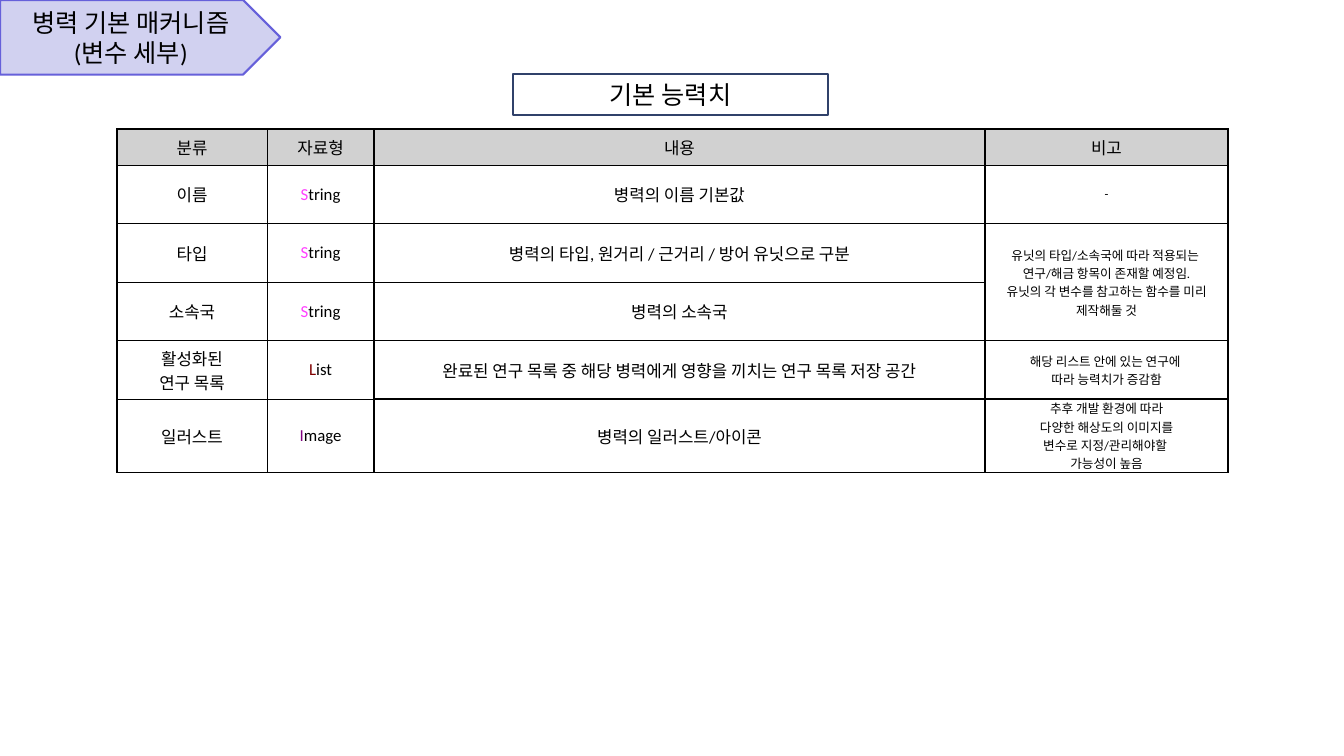
"""Build the slide listing the basic unit variables."""
import pptx
import pptx.util
import pptx.dml.color
import pptx.enum.shapes
import pptx.enum.text
import pptx.oxml
import pptx.oxml.ns

Inches = pptx.util.Inches
Pt = pptx.util.Pt
RGBColor = pptx.dml.color.RGBColor
ALIGN = pptx.enum.text.PP_ALIGN
MIDDLE = pptx.enum.text.MSO_ANCHOR.MIDDLE

BLACK = RGBColor(0x00, 0x00, 0x00)
WHITE = RGBColor(0xFF, 0xFF, 0xFF)
GREY = RGBColor(0xD1, 0xD1, 0xD1)
LILAC = RGBColor(0xD1, 0xD1, 0xF0)
VIOLET = RGBColor(0x66, 0x60, 0xDA)
NAVY = RGBColor(0x30, 0x41, 0x6A)
PINK = RGBColor(0xFF, 0x40, 0xFF)
MAROON = RGBColor(0x80, 0x00, 0x00)
PURPLE = RGBColor(0x80, 0x00, 0x80)


def write(frame, text, size, accent=None):
    frame.text = text
    frame.word_wrap = True
    frame.vertical_anchor = MIDDLE
    for para in frame.paragraphs:
        para.alignment = ALIGN.CENTER
        if accent:
            para.text = text[0]
            para.add_run().text = text[1:]
        for run in para.runs:
            run.font.name = "Calibri"
            run.font.size = Pt(size)
            run.font.color.rgb = BLACK
    if accent:
        frame.paragraphs[0].runs[0].font.color.rgb = accent


def border(cell, side, width):
    cell._tc.get_or_add_tcPr().append(pptx.oxml.parse_xml(
        f'<a:ln{side} {pptx.oxml.ns.nsdecls("a")} w="{Pt(width)}">'
        f'<a:solidFill><a:srgbClr val="{BLACK}"/></a:solidFill></a:ln{side}>'))


deck = pptx.Presentation()
deck.slide_width = Inches(13.33)
deck.slide_height = Inches(7.5)
slide = deck.slides.add_slide(deck.slide_layouts[5])

banner = slide.shapes.add_shape(
    pptx.enum.shapes.MSO_SHAPE.PENTAGON, 0, 0, Inches(2.78), Inches(0.74))
banner.shadow.inherit = False
banner.fill.solid()
banner.fill.fore_color.rgb = LILAC
banner.line.color.rgb = VIOLET
banner.line.width = Pt(1.5)
write(banner.text_frame, "병력 기본 매커니즘\n(변수 세부)", 18)

title = slide.shapes.title
title.left, title.top = Inches(5.09), Inches(0.73)
title.width, title.height = Inches(3.12), Inches(0.41)
title.line.color.rgb = NAVY
title.line.width = Pt(1.5)
frame = title.text_frame
frame.auto_size = pptx.enum.text.MSO_AUTO_SIZE.NONE
frame.margin_left = frame.margin_right = frame.margin_top = frame.margin_bottom = 0
write(frame, "기본 능력치", 18)

rows = [
    ("분류", "자료형", "내용", "비고"),
    ("이름", "String", "병력의 이름 기본값", "-"),
    ("타입", "String", "병력의 타입, 원거리 / 근거리 / 방어 유닛으로 구분",
     "유닛의 타입/소속국에 따라 적용되는 \n연구/해금 항목이 존재할 예정임.\n"
     "유닛의 각 변수를 참고하는 함수를 미리\n제작해둘 것"),
    ("소속국", "String", "병력의 소속국", ""),
    ("활성화된\n연구 목록", "List",
     "완료된 연구 목록 중 해당 병력에게 영향을 끼치는 연구 목록 저장 공간",
     "해당 리스트 안에 있는 연구에 \n따라 능력치가 증감함"),
    ("일러스트", "Image", "병력의 일러스트/아이콘",
     "추후 개발 환경에 따라\n다양한 해상도의 이미지를\n"
     "변수로 지정/관리해야할 \n가능성이 높음"),
]
accents = {"String": PINK, "List": MAROON, "Image": PURPLE}
widths = [1.49, 1.06, 6.06, 2.41]
heights = [0.36, 0.58, 0.58, 0.58, 0.58, 0.71]

table = slide.shapes.add_table(
    len(rows), len(widths), Inches(1.16), Inches(1.28),
    Inches(sum(widths)), Inches(sum(heights))).table
table.first_row = False
table.horz_banding = False
for col, width in zip(table.columns, widths):
    col.width = Inches(width)
for row, height in zip(table.rows, heights):
    row.height = Inches(height)

for r, texts in enumerate(rows):
    for c, text in enumerate(texts):
        cell = table.cell(r, c)
        cell.margin_left = cell.margin_right = 0
        cell.margin_top = cell.margin_bottom = 0
        cell.vertical_anchor = MIDDLE
        for side in "LRTB":
            thick = c > 1 and (r, side) in [(4, "B"), (5, "T")]
            border(cell, side, 1.5 if thick else 1)
        cell.fill.solid()
        cell.fill.fore_color.rgb = WHITE if r else GREY
        if text:
            write(cell.text_frame, text, 9 if r and c == 3 else 12, accents.get(text))
table.cell(2, 3).merge(table.cell(3, 3))

deck.save("out.pptx")
